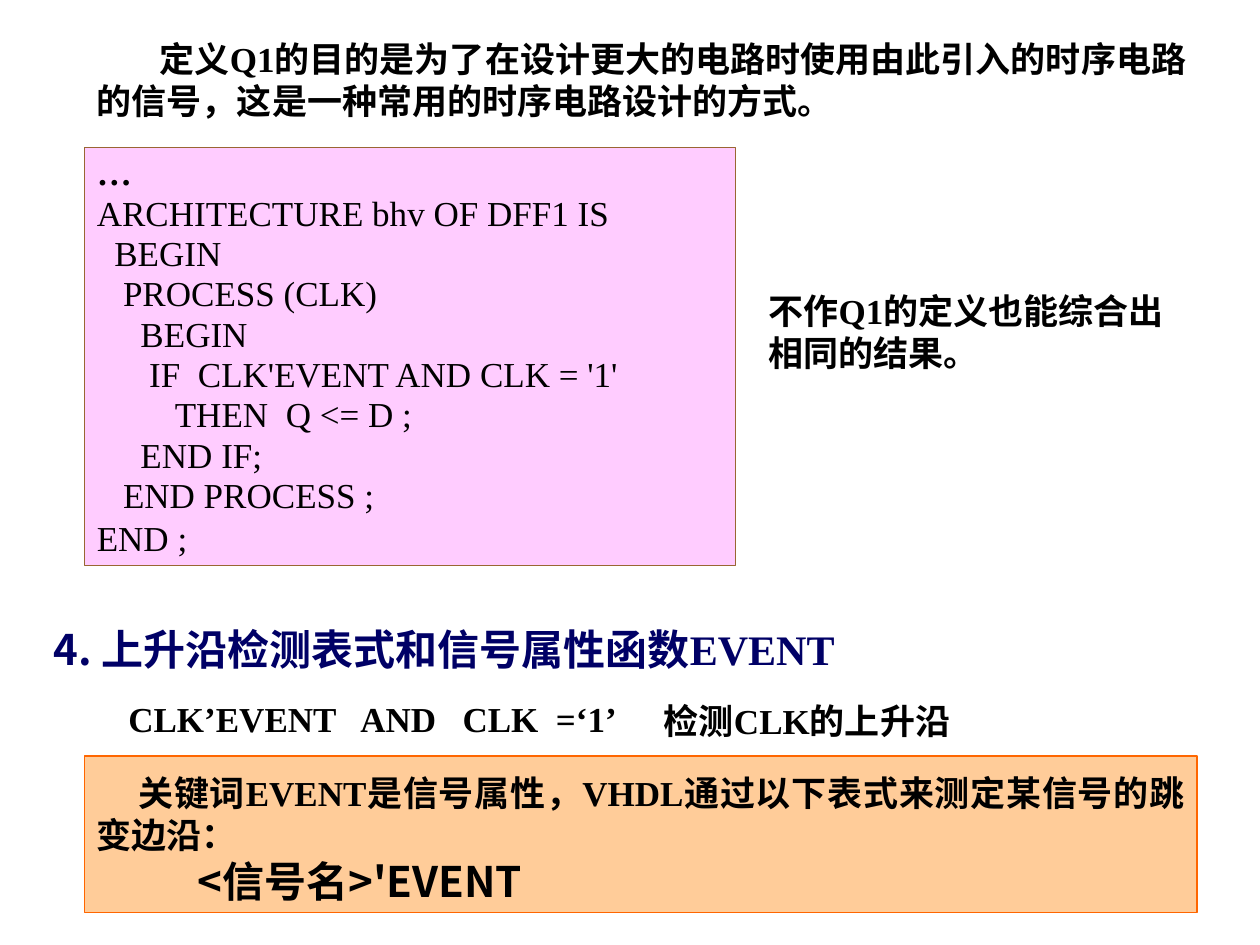
from lxml import etree
from pptx import Presentation
from pptx.dml.color import RGBColor
from pptx.enum import shapes, text
from pptx.oxml import ns
from pptx.util import Inches, Pt

COLORS = {
    "ink": "000000",
    "heading": "000066",
    "code_fill": "FFCCFF",
    "code_line": "996633",
    "note_fill": "FFCC99",
    "note_line": "FF6600",
}
SERIF = "Times New Roman"
CJK = "Noto Sans CJK SC"

CODE = """…
ARCHITECTURE bhv OF DFF1 IS
  BEGIN
   PROCESS (CLK)
     BEGIN
      IF  CLK'EVENT AND CLK = '1'
         THEN  Q <= D ;
     END IF;
   END PROCESS ;
END ;""".split("\n")


def rgb(name):
    return RGBColor.from_string(COLORS[name])


def add_run(paragraph, content, size=20, font=SERIF, color="ink", bold=True):
    """Add text with a Latin font and the common Chinese font."""
    run = paragraph.add_run()
    run.text = content
    run.font.size = Pt(size)
    run.font.bold = bold
    run.font.color.rgb = rgb(color)
    run.font.name = font
    east_asian = etree.SubElement(run.font._element, ns.qn("a:ea"))
    east_asian.set("typeface", CJK)


def indent(paragraph, first_line=0, left=0):
    properties = paragraph._p.get_or_add_pPr()
    properties.set("marL", str(Inches(left)))
    properties.set("indent", str(Inches(first_line)))


def set_frame(frame, wrap=True, top=0.05):
    frame.margin_left = frame.margin_right = Inches(0.1)
    frame.margin_top, frame.margin_bottom = Inches(top), Inches(0.05)
    frame.vertical_anchor = text.MSO_ANCHOR.TOP
    frame.word_wrap = wrap
    frame.auto_size = text.MSO_AUTO_SIZE.SHAPE_TO_FIT_TEXT
    return frame


def add_label(slide, box, content, wrap=True, first_line=0, **style):
    label = slide.shapes.add_textbox(*map(Inches, box))
    paragraph = set_frame(label.text_frame, wrap).paragraphs[0]
    indent(paragraph, first_line)
    add_run(paragraph, content, **style)
    return paragraph


def add_panel(slide, box, kind, top=0.05):
    panel = slide.shapes.add_shape(shapes.MSO_SHAPE.RECTANGLE, *map(Inches, box))
    panel.shadow.inherit = False
    panel.fill.solid()
    panel.fill.fore_color.rgb = rgb(kind + "_fill")
    panel.line.color.rgb = rgb(kind + "_line")
    panel.line.width = Pt(0.75)
    return set_frame(panel.text_frame, top=top)


def add_code(slide):
    frame = add_panel(slide, (0.67, 1.17, 5.17, 3.32), "code")
    for number, line in enumerate(CODE):
        paragraph = frame.add_paragraph() if number else frame.paragraphs[0]
        paragraph.alignment = text.PP_ALIGN.LEFT
        if number < len(CODE) - 1:
            paragraph.line_spacing = 0.96
        add_run(paragraph, line, bold=number == 0)


def add_event_note(slide):
    frame = add_panel(slide, (0.67, 6, 8.83, 1.24), "note", top=0.12)
    rule = frame.paragraphs[0]
    rule.alignment = text.PP_ALIGN.JUSTIFY
    indent(rule, first_line=0.33)
    add_run(rule, "关键词EVENT是信号属性，VHDL通过以下表式来测定某信号的跳变边沿：")

    syntax = frame.add_paragraph()
    syntax.alignment = text.PP_ALIGN.JUSTIFY
    indent(syntax, left=0.8)
    add_run(syntax, "<信号名>'EVENT", size=24, font=CJK)


def main():
    deck = Presentation()
    deck.slide_width, deck.slide_height = Inches(10), Inches(7.5)
    slide = deck.slides.add_slide(deck.slide_layouts[6])

    # Purpose of Q1, the version without it, and its result
    add_label(slide, (0.67, 0.25, 9, 0.77),
              "定义Q1的目的是为了在设计更大的电路时使用由此引入的时序电路的信号，"
              "这是一种常用的时序电路设计的方式。", first_line=0.5)
    add_code(slide)
    add_label(slide, (6, 2.25, 3.58, 0.77), "不作Q1的定义也能综合出相同的结果。")

    # Rising edge detection
    heading = add_label(slide, (0.33, 4.9, 6.75, 0.5), "4. 上升沿检测表式和信号属性函数",
                        size=24, font=CJK, color="heading")
    add_run(heading, "EVENT", size=24, color="heading")
    add_label(slide, (0.92, 5.49, 4.1, 0.44), "CLK’EVENT   AND   CLK  =‘1’", wrap=False)
    add_label(slide, (5.17, 5.5, 2.75, 0.44), "检测CLK的上升沿")
    add_event_note(slide)

    deck.save("out.pptx")


if __name__ == "__main__":
    main()
